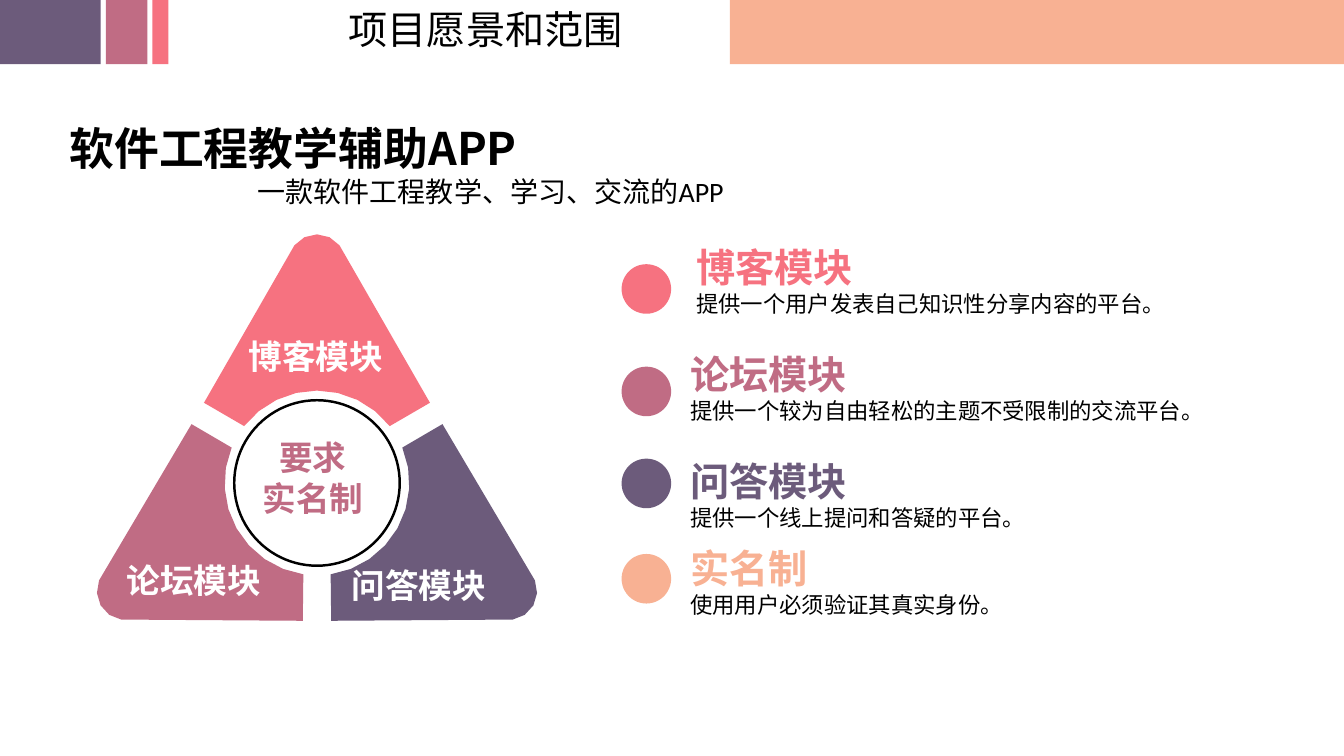
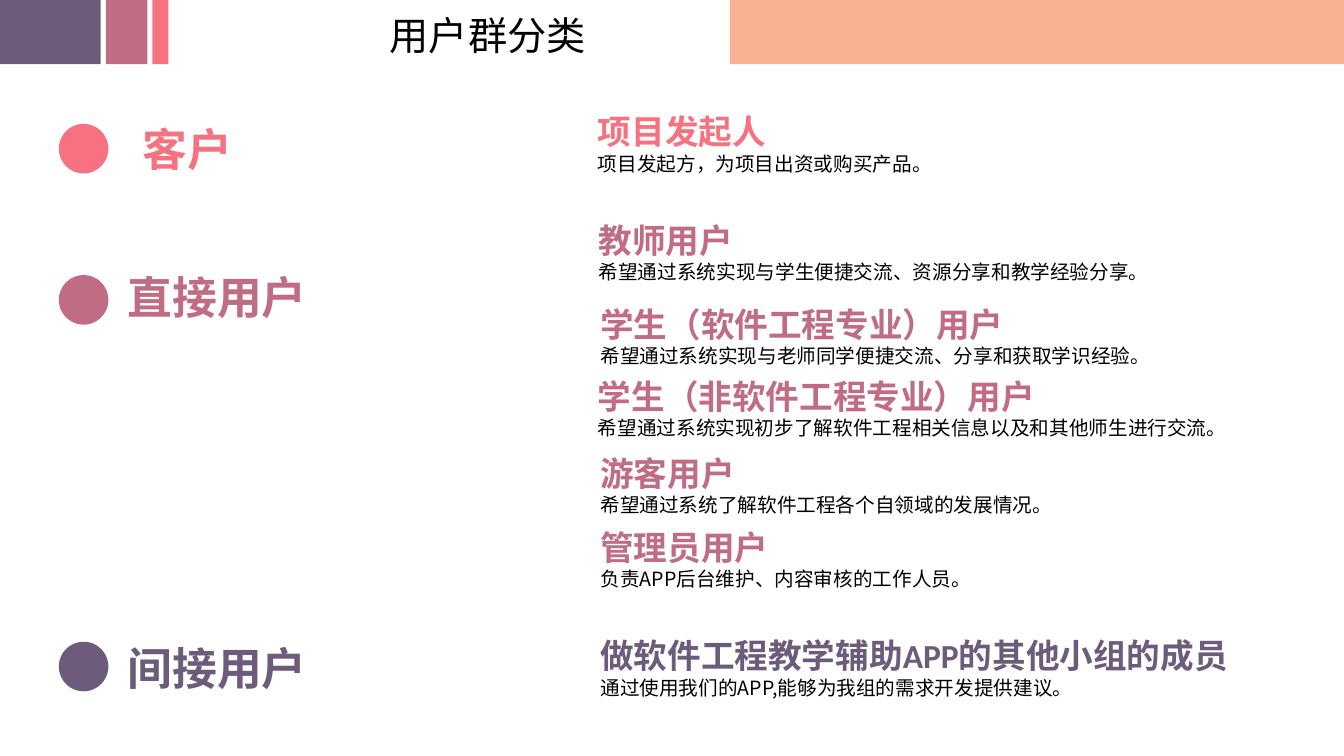
from math import cos, radians, sin

from pptx import Presentation
from pptx.dml.color import RGBColor
from pptx.enum.shapes import MSO_SHAPE
from pptx.enum.text import MSO_ANCHOR, MSO_AUTO_SIZE, PP_ALIGN
from pptx.oxml.ns import qn
from pptx.util import Inches, Pt

RECT, OVAL = MSO_SHAPE.RECTANGLE, MSO_SHAPE.OVAL
LEFT, CENTER = PP_ALIGN.LEFT, PP_ALIGN.CENTER
TOP, NO_FIT = MSO_ANCHOR.TOP, MSO_AUTO_SIZE.NONE
TITLE_ONLY = 5

SLIDE_H = Inches(7.5)
SLIDE_W = SLIDE_H * 16 // 9
COLS, ROWS = 160, 90

PINK, MAUVE, PURPLE, PEACH = "F67280", "C06C84", "6C5B7B", "F8B193"
BLACK, WHITE = "000000", "FFFFFF"
CJK, LATIN = "Noto Sans CJK SC", "Calibri"

BAND_H, DOT = 7.65, 5.9
BANDS = [(86.9, 73.1, PEACH), (0, 12, PURPLE), (12.6, 4.95, MAUVE), (18.15, 1.9, PINK)]
HUB_X, HUB_Y = 37.74, 57.5

# turn of the petal, label column and row, colour, label
PETALS = [
    (240.5, 13.9, 66.1, MAUVE, "论坛模块"),
    (119.5, 40.7, 66.7, PURPLE, "问答模块"),
    (0, 28.4, 39.4, PINK, "博客模块"),
]
# dot row, text column and row, colour, heading, description
MODULES = [
    (31.45, 81.7, 28.4, PINK, "博客模块", "提供一个用户发表自己知识性分享内容的平台。"),
    (43.65, 81, 41.12, MAUVE, "论坛模块", "提供一个较为自由轻松的主题不受限制的交流平台。"),
    (54.6, 81, 53.8, PURPLE, "问答模块", "提供一个线上提问和答疑的平台。"),
    (65.95, 81, 64.2, PEACH, "实名制", "使用用户必须验证其真实身份。"),
]
# dot row, text column and row, colour, name
GROUPS = [
    (14.75, 15.84, 13.85, PINK, "客户"),
    (32.75, 14, 31.48, MAUVE, "直接用户"),
    (76.4, 14, 75.65, PURPLE, "间接用户"),
]
# text column and row, colour, heading, description
USERS = [
    (70, 12.65, PINK, "项目发起人", "项目发起方，为项目出资或购买产品。"),
    (70.1, 25.6, MAUVE, "教师用户", "希望通过系统实现与学生便捷交流、资源分享和教学经验分享。"),
    (70.3, 35.6, MAUVE, "学生（软件工程专业）用户",
     "希望通过系统实现与老师同学便捷交流、分享和获取学识经验。"),
    (70, 44.14, MAUVE, "学生（非软件工程专业）用户",
     "希望通过系统实现初步了解软件工程相关信息以及和其他师生进行交流。"),
    (70.3, 53.3, MAUVE, "游客用户", "希望通过系统了解软件工程各个自领域的发展情况。"),
    (70.3, 62.15, MAUVE, "管理员用户", "负责APP后台维护、内容审核的工作人员。"),
    (70.3, 75.05, PURPLE, "做软件工程教学辅助APP的其他小组的成员",
     "通过使用我们的APP,能够为我组的需求开发提供建议。"),
]


def color(value):
    return RGBColor.from_string(value)


def col(n):
    return round(SLIDE_W * n / COLS)


def row(n):
    return round(SLIDE_H * n / ROWS)


def box(x, y, w, h):
    return col(x), row(y), col(w), row(h)


def paint(sp, fill=None, line=None):
    sp.shadow.inherit = False
    if fill:
        sp.fill.solid()
        sp.fill.fore_color.rgb = color(fill)
    else:
        sp.fill.background()
    if line:
        sp.line.color.rgb = color(line)
        sp.line.width = Pt(1.75)
    else:
        sp.line.fill.background()


def add_shape(s, kind, x, y, w, h, fill=None, line=None):
    paint(s.shapes.add_shape(kind, *box(x, y, w, h)), fill, line)


def add_dot(s, x, y, fill):
    add_shape(s, OVAL, x, y, DOT, DOT, fill)


def write(p, text, size, rgb=BLACK, font=CJK, bold=False):
    r = p.add_run()
    r.text = text
    r.font.size, r.font.bold, r.font.name = Pt(size), bold, font
    r.font.color.rgb = color(rgb)
    ea = r.font._element.makeelement(qn("a:ea"), {"typeface": CJK})
    r.font._element.find(qn("a:latin")).addnext(ea)


def add_text(s, x, y, w, h, *lines, align=LEFT):
    """Each line is a tuple of arguments for write()."""
    tf = s.shapes.add_textbox(*box(x, y, w, h)).text_frame
    tf.word_wrap = True
    for i, line in enumerate(lines):
        p = tf.add_paragraph() if i else tf.paragraphs[0]
        p.alignment = align
        write(p, *line)
    return tf


def add_entry(s, x, y, w, h, rgb, heading, text, big, small):
    add_text(s, x, y, w, h, (heading, big, rgb, LATIN, True), (text, small))


def arc(radius, center_y, step):
    """Points from left to right over the top of a circle."""
    return [(radius * sin(radians(a)), center_y - radius * cos(radians(a)))
            for a in range(-52, 53, step)]


def add_petal(s, turn, fill):
    """Draw a round-tipped petal, turned clockwise about the hub."""
    corner_x, corner_y = 13.45, -9.55
    outline = [*arc(3.4, -26.2, 26), (corner_x, corner_y),
               *reversed(arc(11, 0, 13)), (-corner_x, corner_y)]
    c, d = cos(radians(turn)), sin(radians(turn))
    points = [(col(HUB_X + x * c - y * d), row(HUB_Y + x * d + y * c)) for x, y in outline]
    builder = s.shapes.build_freeform(*points[0])
    builder.add_line_segments(points[1:])
    paint(builder.convert_to_shape(), fill)


def new_slide(prs, title, x, y, w):
    s = prs.slides.add_slide(prs.slide_layouts[TITLE_ONLY])
    for left, width, fill in BANDS:
        add_shape(s, RECT, left, 0, width, BAND_H, fill)
    sp = s.shapes.title
    sp.left, sp.top, sp.width, sp.height = box(x, y, w, 6.8)
    tf = sp.text_frame
    tf.word_wrap, tf.auto_size, tf.vertical_anchor = False, NO_FIT, TOP
    tf.paragraphs[0].alignment = LEFT
    write(tf.paragraphs[0], title, 28)
    return s


def vision_slide(prs):
    s = new_slide(prs, "项目愿景和范围", 40.3, 0, 35.4)
    tf = add_text(s, 7.1, 13.8, 85.6, 11.8,
                  ("软件工程教学辅助APP", 32, BLACK, CJK, True),
                  ("一款软件工程教学、学习、交流的APP", 20, BLACK, LATIN))
    tf.paragraphs[1]._p.get_or_add_pPr().set("marL", str(col(22.4)))
    for turn, _, _, fill, _ in PETALS:
        add_petal(s, turn, fill)
    hub = 19.7
    add_shape(s, OVAL, HUB_X - hub / 2, HUB_Y - hub / 2, hub, hub, line=BLACK)
    for _, x, y, _, label in PETALS:
        add_text(s, x, y, 18.8, 6, (label, 24, WHITE, CJK, True))
    add_text(s, 27.55, 51.45, 19.4, 10.9,
             *[(t, 24, MAUVE, CJK, True) for t in ("要求", "实名制")], align=CENTER)
    for dot_y, x, y, rgb, heading, text in MODULES:
        add_dot(s, 74, dot_y, rgb)
        add_entry(s, x, y, 72, 10.1, rgb, heading, text, 28, 16)


def users_slide(prs):
    s = new_slide(prs, "用户群分类", 45.2, 0.8, 26)
    for dot_y, x, y, rgb, name in GROUPS:
        add_dot(s, 7, dot_y, rgb)
        add_text(s, x, y, 28, 7.7, (name, 32, rgb, LATIN, True))
    for x, y, rgb, heading, text in USERS:
        add_entry(s, x, y, 78, 8.9, rgb, heading, text, 24, 14)


def main():
    prs = Presentation()
    prs.slide_width, prs.slide_height = SLIDE_W, SLIDE_H
    vision_slide(prs)
    users_slide(prs)
    prs.save("out.pptx")


if __name__ == "__main__":
    main()
